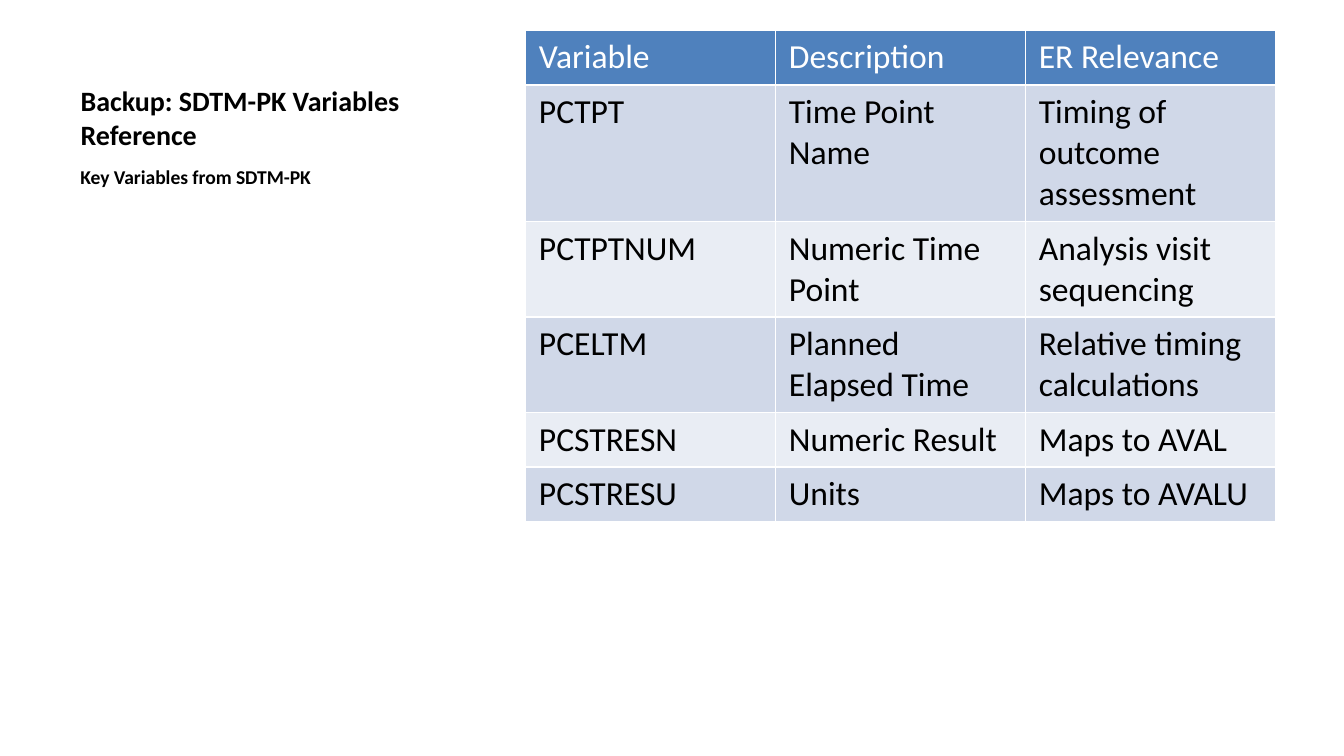
from lxml import etree
from pptx import Presentation
from pptx.dml.color import RGBColor
from pptx.enum.text import MSO_ANCHOR, MSO_AUTO_SIZE, PP_ALIGN
from pptx.oxml.ns import qn
from pptx.util import Inches, Pt

TOP, BOTTOM = MSO_ANCHOR.TOP, MSO_ANCHOR.BOTTOM
LEFT = PP_ALIGN.LEFT
NO_AUTOFIT = MSO_AUTO_SIZE.NONE

BLACK = RGBColor(0x00, 0x00, 0x00)
WHITE = RGBColor(0xFF, 0xFF, 0xFF)
HEADER_BLUE = RGBColor(0x4F, 0x81, 0xBD)
BAND_DARK = RGBColor(0xD0, 0xD8, 0xE8)
BAND_LIGHT = RGBColor(0xE9, 0xED, 0xF4)

FONT = "Calibri"
PAGE_WIDTH = 10
PAGE_HEIGHT = PAGE_WIDTH * 9 / 16
MARGIN_TOP = PAGE_HEIGHT / 25
LINE_HEIGHT = Pt(22)
CELL_PADDING = Inches(0.1)

VARIABLES = [
    (1, "Variable", "Description", "ER Relevance"),
    (3, "PCTPT", "Time Point Name", "Timing of outcome assessment"),
    (2, "PCTPTNUM", "Numeric Time Point", "Analysis visit sequencing"),
    (2, "PCELTM", "Planned Elapsed Time", "Relative timing calculations"),
    (1, "PCSTRESN", "Numeric Result", "Maps to AVAL"),
    (1, "PCSTRESU", "Units", "Maps to AVALU"),
]


def write_text(frame, text, size=18, color=BLACK, bold=False, space_before=0):
    frame.word_wrap = True
    para = frame.paragraphs[0]
    para.alignment = LEFT
    para.space_before = Pt(space_before)
    span = para.add_run()
    span.text = text
    span.font.name = FONT
    span.font.size = Pt(size)
    span.font.bold = bold
    span.font.color.rgb = color


def add_cell_borders(cell):
    properties = cell._tc.get_or_add_tcPr()
    for side in "LRTB":
        line = etree.SubElement(properties, qn(f"a:ln{side}"), w=str(Pt(1)))
        fill = etree.SubElement(line, qn("a:solidFill"))
        etree.SubElement(fill, qn("a:srgbClr"), val=str(WHITE))


def add_heading(page, left, top, width, title_height, body_height):
    title = page.shapes.title
    title.left, title.top = Inches(left), Inches(top)
    title.width, title.height = Inches(width), Inches(title_height)
    title.text_frame.auto_size = NO_AUTOFIT
    title.text_frame.vertical_anchor = BOTTOM
    write_text(title.text_frame, "Backup: SDTM-PK Variables Reference", size=15, bold=True)

    body = page.shapes.add_textbox(Inches(left), Inches(top + title_height),
                                   Inches(width), Inches(body_height))
    body.text_frame.vertical_anchor = TOP
    write_text(body.text_frame, "Key Variables from SDTM-PK",
               size=10.5, bold=True, space_before=2.1)


def add_variable_table(page, left, top, width):
    heights = [CELL_PADDING + LINE_HEIGHT * lines for lines, *_ in VARIABLES]
    columns = len(VARIABLES[0]) - 1
    table = page.shapes.add_table(len(VARIABLES), columns, Inches(left), Inches(top),
                                  Inches(width), sum(heights)).table
    for row_index, (_, *texts) in enumerate(VARIABLES):
        table.rows[row_index].height = heights[row_index]
        is_header = row_index == 0
        band = BAND_DARK if row_index % 2 else BAND_LIGHT
        for column_index, text in enumerate(texts):
            cell = table.cell(row_index, column_index)
            add_cell_borders(cell)
            cell.fill.solid()
            cell.fill.fore_color.rgb = HEADER_BLUE if is_header else band
            write_text(cell.text_frame, text, color=WHITE if is_header else BLACK)


def main():
    deck = Presentation()
    deck.slide_width, deck.slide_height = Inches(PAGE_WIDTH), Inches(PAGE_HEIGHT)
    page = deck.slides.add_slide(deck.slide_layouts.get_by_name("Title Only"))
    add_heading(page, 0.5, MARGIN_TOP, 3.29, title_height=0.95, body_height=3.85)
    add_variable_table(page, 3.91, MARGIN_TOP, 5.58)
    deck.save("out.pptx")


if __name__ == "__main__":
    main()
